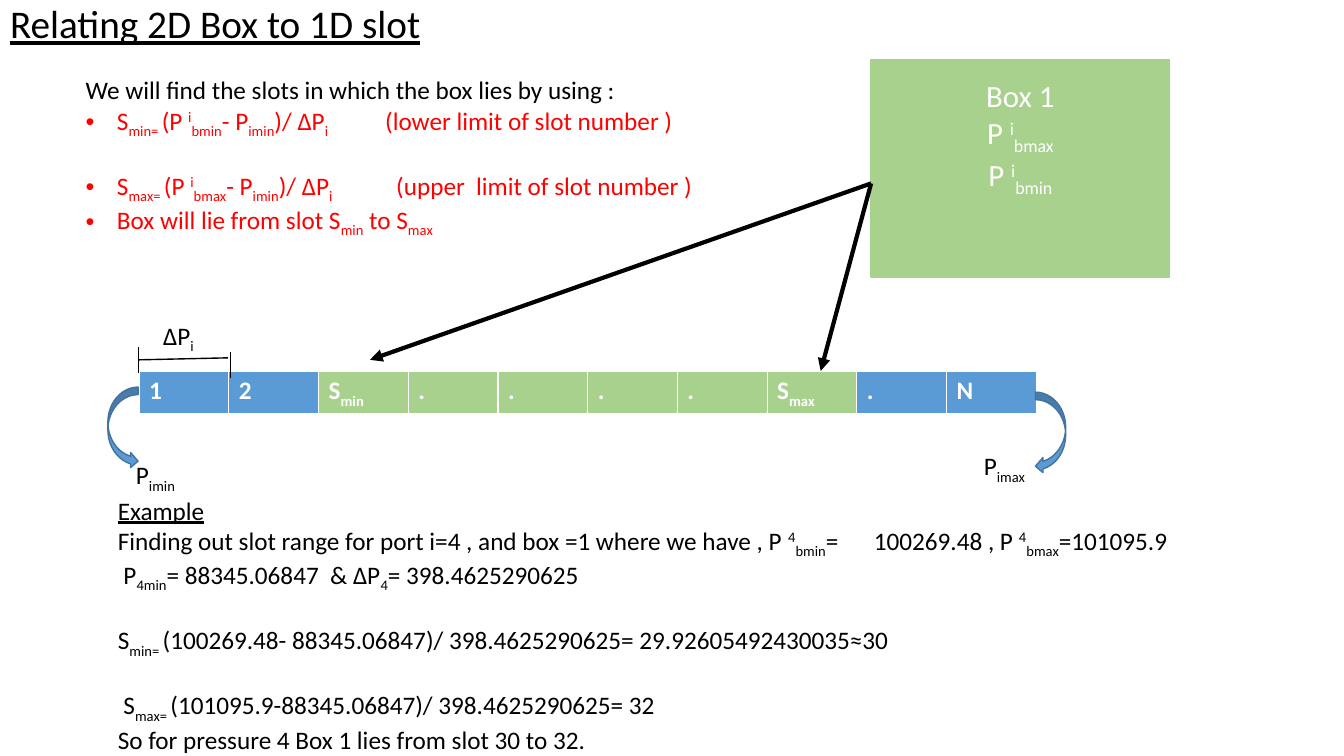
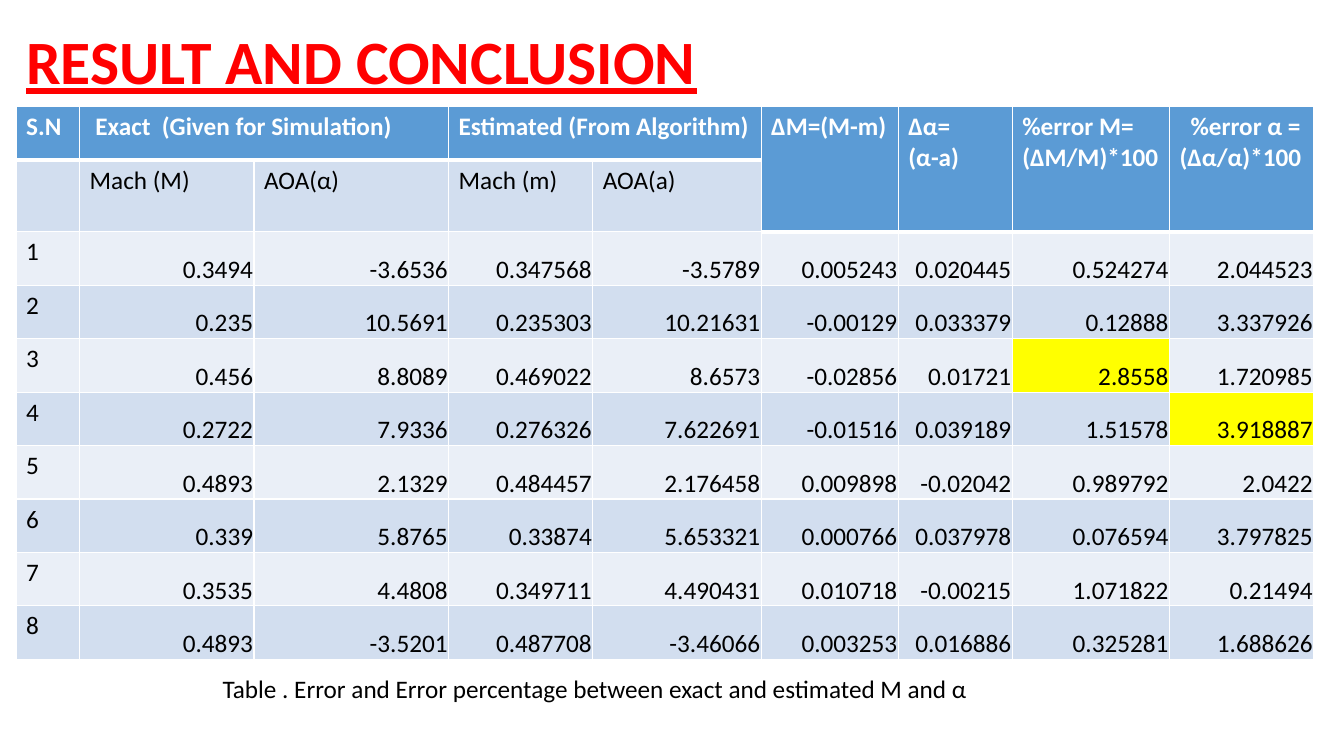
from lxml.etree import SubElement
from pptx import Presentation
from pptx.dml.color import RGBColor
from pptx.enum.shapes import MSO_CONNECTOR as LINK, MSO_SHAPE as SHAPE
from pptx.enum.text import MSO_ANCHOR as ANCHOR, MSO_AUTO_SIZE as FIT, PP_ALIGN as ALIGN
from pptx.oxml.ns import qn
from pptx.util import Inches, Pt

FONT = "Calibri"
BLACK, WHITE, RED, YELLOW = "000000", "FFFFFF", "FF0000", "FFFF00"
BLUE, EDGE, GREEN = "5B9BD5", "43739E", "A9D18E"
BANDS = ("EAEFF7", "D2DEEF")

SLOTS = ["1", "2", "S{_min}", ".", ".", ".", ".", "S{_max}", ".", "N"]
RULES = """We will find the slots in which the box lies by using :
• S{_min= }(P {^i}{_bmin}- P{_imin})/ ΔP{_i}\t(lower limit of slot number )
• S{_max= }(P {^i}{_bmax}- P{_imin})/ ΔP{_i}\t(upper  limit of slot number )
• Box will lie from slot S{_min} to S{_max}"""
SUMS = """Example
Finding out slot range for port i=4 , and box =1 where we have , P {^4}{_bmin}=\t100269.48 , P {^4}{_bmax}=101095.9
 P{_4min}= 88345.06847  & ΔP{_4}= 398.4625290625
S{_min= }(100269.48- 88345.06847)/ 398.4625290625= 29.92605492430035≈30
 S{_max= }(101095.9-88345.06847)/ 398.4625290625= 32
So for pressure 4 Box 1 lies from slot 30 to 32."""

WIDTHS = [0.63, 1.73, 1.93, 1.43, 1.67, 1.36, 1.13, 1.56, 1.43]
HEADS = ["S.N", " Exact  (Given for Simulation)", "", "Estimated (From Algorithm)", "",
         "ΔM=(M-m)", "Δα=\n(α-a)", "%error M= (ΔM/M)*100", "%error α =\n(Δα/α)*100"]
SUBS = ["", "Mach (M)", "AOA(α)", "Mach (m)", "AOA(a)", "", "", "", ""]
DATA = """1 0.3494 -3.6536 0.347568 -3.5789 0.005243 0.020445 0.524274 2.044523
2 0.235 10.5691 0.235303 10.21631 -0.00129 0.033379 0.12888 3.337926
3 0.456 8.8089 0.469022 8.6573 -0.02856 0.01721 2.8558 1.720985
4 0.2722 7.9336 0.276326 7.622691 -0.01516 0.039189 1.51578 3.918887
5 0.4893 2.1329 0.484457 2.176458 0.009898 -0.02042 0.989792 2.0422
6 0.339 5.8765 0.33874 5.653321 0.000766 0.037978 0.076594 3.797825
7 0.3535 4.4808 0.349711 4.490431 0.010718 -0.00215 1.071822 0.21494
8 0.4893 -3.5201 0.487708 -3.46066 0.003253 0.016886 0.325281 1.688626"""
PEAKS = ("2.8558", "3.918887")


def rgb(code):
    """Turn a hex string into a colour."""
    return RGBColor.from_string(code)


def box(*sizes):
    """Turn inch numbers into lengths."""
    return [Inches(size) for size in sizes]


def put(frame, text, size=18, color=BLACK, bold=False, under=False, align=ALIGN.LEFT):
    """Write lines with {_sub} and {^super} marks, and return the paragraphs."""
    lines = text.split("\n")
    for row, line in enumerate(lines):
        para = frame.paragraphs[0] if row == 0 else frame.add_paragraph()
        para.alignment, para.space_before = align, Pt(0)
        props = para._p.get_or_add_pPr()
        listed = line.startswith("• ")
        indent = Inches(0.31) if listed else 0
        props.set("marL", str(indent))
        props.set("indent", str(-indent))
        if listed:
            SubElement(props, qn("a:buFont"), typeface="Arial")
            SubElement(props, qn("a:buChar"), char="•")
        else:
            SubElement(props, qn("a:buNone"))
        parts = line.removeprefix("• ").replace("}", "{").split("{")
        for spot, part in enumerate(parts):
            if not part:
                continue
            run = para.add_run()
            run.text = part[1:] if spot % 2 else part
            font = run.font
            font.name, font.size, font.bold, font.underline = FONT, Pt(size), bold, under
            font.color.rgb = rgb(color)
            if spot % 2:
                base = "-25000" if part[0] == "_" else "30000"
                run._r.get_or_add_rPr().set("baseline", base)
    return frame.paragraphs


def tint(para, color):
    """Colour every run of a paragraph."""
    for run in para.runs:
        run.font.color.rgb = rgb(color)


def tab(para, inch):
    """Give a paragraph one left tab stop."""
    stops = SubElement(para._p.get_or_add_pPr(), qn("a:tabLst"))
    SubElement(stops, qn("a:tab"), pos=str(Inches(inch)), algn="l")


def place(shape, *sizes):
    """Move a placeholder and fix its text frame."""
    shape.left, shape.top, shape.width, shape.height = box(*sizes)
    frame = shape.text_frame
    frame.auto_size, frame.word_wrap = FIT.NONE, True
    return frame


def title(slide, text, sizes, anchor, **look):
    """Fill the underlined title."""
    frame = place(slide.shapes.title, *sizes)
    frame.vertical_anchor = anchor
    put(frame, text, under=True, **look)[0].line_spacing = 0.9


def label(slide, text, *sizes):
    """Add a wrapped text box."""
    frame = slide.shapes.add_textbox(*box(*sizes)).text_frame
    frame.word_wrap = True
    return put(frame, text)


def form(slide, kind, sizes, fill, edge):
    """Add a filled preset shape."""
    shape = slide.shapes.add_shape(kind, *box(*sizes))
    shape.shadow.inherit = False
    shape.fill.solid()
    shape.fill.fore_color.rgb = rgb(fill)
    shape.line.color.rgb = rgb(edge)
    shape.line.width = Pt(1)
    return shape


def rule(slide, ends, width, arrow=False):
    """Draw a black straight line, with an arrowhead if asked."""
    link = slide.shapes.add_connector(LINK.STRAIGHT, *box(*ends))
    link.line.color.rgb = rgb(BLACK)
    link.line.width = Pt(width)
    if arrow:
        SubElement(link.line._get_or_add_ln(), qn("a:tailEnd"), type="triangle")
    SubElement(link._element.spPr, qn("a:effectLst"))


def cell(item, text, fill, thick=False, **look):
    """Border, fill and write one table cell."""
    props = item._tc.get_or_add_tcPr()
    for side in "LRTB":
        width = Pt(3 if thick and side == "B" else 1)
        line = SubElement(props, qn(f"a:ln{side}"), w=str(width))
        paint = SubElement(line, qn("a:solidFill"))
        SubElement(paint, qn("a:srgbClr"), val=WHITE)
    item.fill.solid()
    item.fill.fore_color.rgb = rgb(fill)
    return put(item.text_frame, text, **look) if text else []


def grid(slide, left, top, widths, heights):
    """Add a table without a banded style."""
    sizes = box(left, top, sum(widths), sum(heights))
    table = slide.shapes.add_table(len(heights), len(widths), *sizes).table
    table.first_row = table.horz_banding = False
    for col, width in zip(table.columns, widths):
        col.width = Inches(width)
    for row, height in zip(table.rows, heights):
        row.height = Inches(height)
    return table


def slots(deck):
    """Build the slide that maps a box to slots."""
    slide = deck.slides.add_slide(deck.slide_layouts[1])
    title(slide, "Relating 2D Box to 1D slot", (0, 0, 13.33, 0.6), ANCHOR.TOP, size=28)

    frame = form(slide, SHAPE.RECTANGLE, (8.64, 0.59, 2.96, 2.16), GREEN, GREEN).text_frame
    frame.vertical_anchor, frame.margin_bottom = ANCHOR.MIDDLE, Inches(0.66)
    put(frame, "Box 1\nP {^i}{_bmax}\nP {^i}{_bmin}", size=22, color=WHITE, align=ALIGN.CENTER)

    table = grid(slide, 1.38, 3.68, [0.89] * len(SLOTS), [0.41])
    for num, text in enumerate(SLOTS):
        fill = GREEN if 2 <= num <= 7 else BLUE
        cell(table.cell(0, num), text, fill, thick=True, color=WHITE, bold=True)

    form(slide, SHAPE.CURVED_LEFT_ARROW, (10.27, 3.89, 0.3, 0.81), BLUE, EDGE)
    form(slide, SHAPE.CURVED_RIGHT_ARROW, (1.07, 3.84, 0.3, 0.81), BLUE, EDGE)
    label(slide, "P{_imin}", 1.25, 4.51, 0.76, 0.71)
    label(slide, "P{_imax}", 9.66, 4.42, 0.76, 0.71)
    label(slide, "ΔP{_i}", 1.52, 3.13, 0.52, 0.4)

    rule(slide, (1.38, 3.57, 2.26, 3.55), 1)
    for x, y in ((1.37, 3.44), (2.28, 3.49)):
        rule(slide, (x, y + 0.26, x, y), 0.5)
    for end in ((3.67, 3.57), (8.14, 3.68)):
        rule(slide, (8.64, 1.82, *end), 3, arrow=True)

    rules = put(place(slide.placeholders[1], 0.75, 0.69, 6.7, 1.92), RULES)
    for para in rules[1:]:
        tint(para, RED)
    tab(rules[1], 2.97)
    tab(rules[2], 3.08)
    sums = label(slide, SUMS, 1.07, 4.86, 11.8, 2.52)
    sums[0].runs[0].font.underline = True
    tab(sums[1], 7.32)
    for para in (rules[2], sums[3], sums[4]):
        para.space_before = Pt(22)


def results(deck):
    """Build the slide with the error table."""
    slide = deck.slides.add_slide(deck.slide_layouts[5])
    title(slide, "RESULT AND CONCLUSION", (0.16, 0.06, 10.83, 1.17), ANCHOR.MIDDLE,
          size=44, color=RED, bold=True)
    rows = [line.split() for line in DATA.split("\n")]
    table = grid(slide, 0.16, 1.06, WIDTHS, [0.53, 0.7] + [0.53] * len(rows))

    for num, text in enumerate(HEADS):
        paras = cell(table.cell(0, num), text, BLUE, thick=True, color=WHITE, bold=True)
        tall = num > 4
        cell(table.cell(1, num), SUBS[num], BLUE if tall else BANDS[1], thick=tall)
        if tall:
            table.cell(0, num).merge(table.cell(1, num))
    paras[0]._p.get_or_add_pPr().set("marL", str(Inches(0.11)))
    for num in (1, 3):
        table.cell(0, num).merge(table.cell(0, num + 1))

    for row, texts in enumerate(rows):
        for num, text in enumerate(texts):
            item = table.cell(row + 2, num)
            fill = YELLOW if text in PEAKS else BANDS[row % 2]
            cell(item, text, fill, align=ALIGN.RIGHT if num else ALIGN.LEFT)
            if num:
                item.vertical_anchor = ANCHOR.BOTTOM
                item.margin_left = item.margin_right = item.margin_top = Inches(0.01)
                item.margin_bottom = 0

    label(slide, "Table . Error and Error percentage between exact and estimated M and α",
          2.11, 6.63, 7.73, 0.4)


def main():
    """Build and save the deck."""
    deck = Presentation()
    deck.slide_width, deck.slide_height = box(13.33, 7.5)
    slots(deck)
    results(deck)
    deck.save("out.pptx")


if __name__ == "__main__":
    main()
